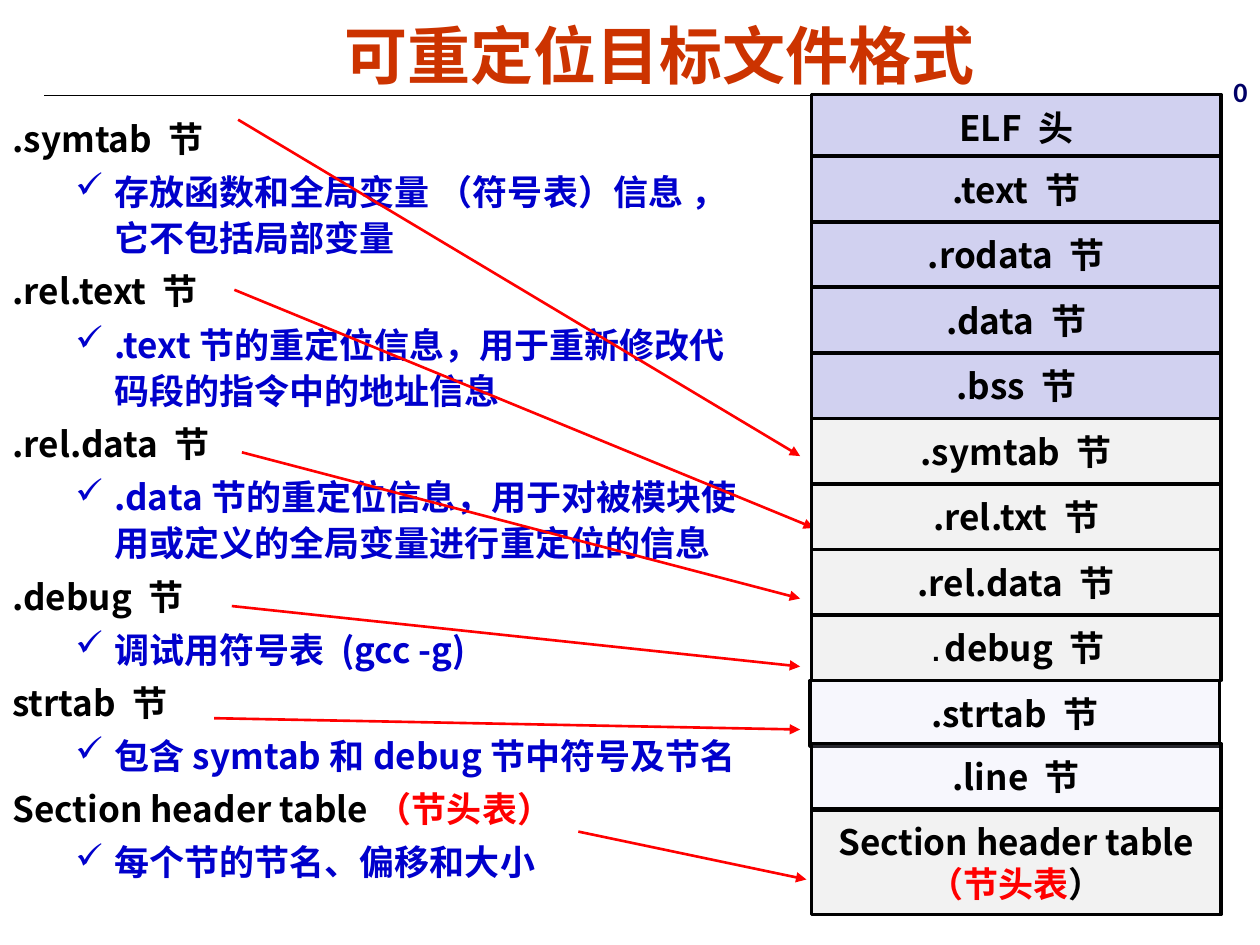
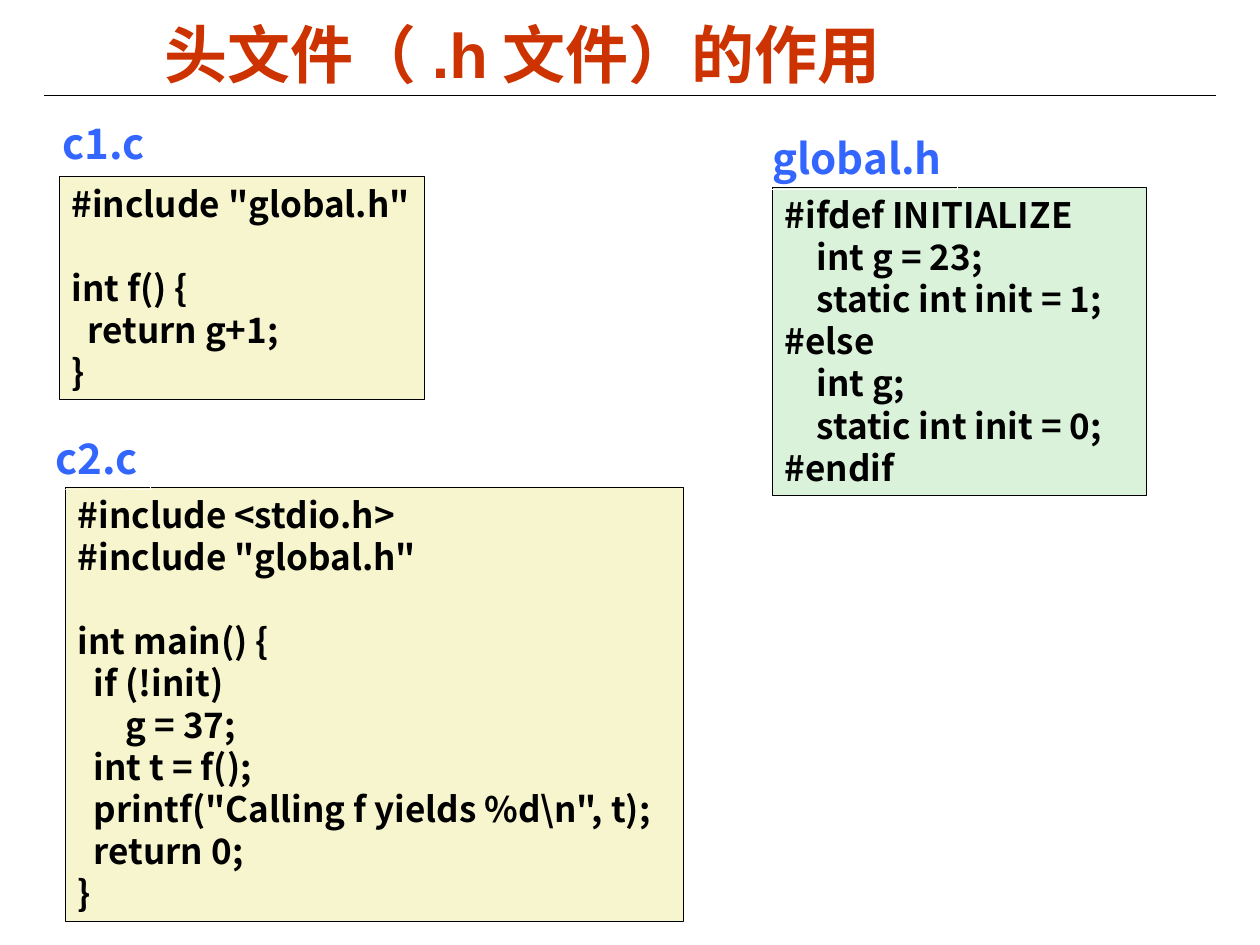
from dataclasses import dataclass

from lxml import etree
from pptx import Presentation
from pptx.dml.color import RGBColor
from pptx.enum.shapes import MSO_CONNECTOR, MSO_SHAPE
from pptx.enum.text import MSO_ANCHOR, PP_ALIGN
from pptx.oxml.ns import qn
from pptx.util import Inches, Length, Pt

STRAIGHT = MSO_CONNECTOR.STRAIGHT
RECTANGLE = MSO_SHAPE.RECTANGLE
TOP, MIDDLE = MSO_ANCHOR.TOP, MSO_ANCHOR.MIDDLE
LEFT, CENTER = PP_ALIGN.LEFT, PP_ALIGN.CENTER

COLOURS = {
    "black": "000000", "white": "FFFFFF", "title": "CC3300",
    "detail": "0000CC", "red": "FF0000", "offset": "000066",
    "label": "3366FF", "loaded": "D1D1F0", "linking": "F2F2F2",
    "strings": "D6D6F5", "source": "F7F5CD", "header": "DBF2DA",
}
BODY_FONT, TITLE_FONT = "Noto Sans CJK SC", "Arial"
BODY_SIZE, LABEL_SIZE = 20, 24
LINE_RATIO = 1.2  # line height as a share of the type size
COLUMNS = 100  # the page is a grid of 100 by 75 square cells
PAGE_WIDTH, PAGE_HEIGHT = Inches(10), Inches(7.5)


@dataclass(frozen=True)
class Area:
    """A rectangle in grid cells."""
    column: float
    row: float
    columns: float
    rows: float

    def lengths(self) -> list[Length]:
        return [grid(cells) for cells in (self.column, self.row, self.columns, self.rows)]


@dataclass(frozen=True)
class Span:
    text: str
    colour: str = "black"
    size: int = BODY_SIZE
    font: str = BODY_FONT


@dataclass(frozen=True)
class Section:
    area: Area
    fill: str
    lines: tuple[tuple[Span, ...], ...]
    opacity: int = 100


@dataclass(frozen=True)
class Topic:
    heading: tuple[Span, ...]
    detail: str


@dataclass(frozen=True)
class Arrow:
    start: tuple[float, float]
    end: tuple[float, float]


@dataclass(frozen=True)
class Listing:
    name: str
    label_area: Area
    code_area: Area
    fill: str
    code: str


# Relocatable file: the sections from top to bottom
ROW = 5.2
STACK_LEFT, STACK_WIDTH = 64.4, 32.5


def section_row(number: int, name: str, fill: str) -> Section:
    spans = (Span(f"{name} 节"),)
    if name == ".debug":
        spans = (Span(".", size=16, font="Courier New"), Span("debug 节"))
    return Section(Area(STACK_LEFT, 12.4 + number * ROW, STACK_WIDTH, ROW), fill, (spans,))


ROW_FILLS = {
    ".text": "loaded", ".rodata": "loaded", ".data": "loaded", ".bss": "loaded",
    ".symtab": "linking", ".rel.txt": "linking", ".rel.data": "linking", ".debug": "linking",
}
SECTIONS = [
    Section(Area(STACK_LEFT, 7.5, STACK_WIDTH, ROW), "loaded", ((Span("ELF 头"),),)),
    *(section_row(number, name, fill) for number, (name, fill) in enumerate(ROW_FILLS.items())),
    Section(Area(STACK_LEFT, 64.3, STACK_WIDTH, 8.3), "linking",
            ((Span("Section header table"),), (Span("（节头表", "red"), Span("）")))),
    Section(Area(64.3, 54, STACK_WIDTH, ROW), "strings", ((Span(".strtab 节"),),), 19),
    Section(Area(STACK_LEFT, 59, STACK_WIDTH, ROW), "strings", ((Span(".line 节"),),), 19),
]
TOPICS = [
    Topic((Span(".symtab 节"),), "存放函数和全局变量 （符号表）信息 ，它不包括局部变量"),
    Topic((Span(".rel.text 节"),), ".text节的重定位信息，用于重新修改代码段的指令中的地址信息"),
    Topic((Span(".rel.data 节"),),
          ".data节的重定位信息，用于对被模块使用或定义的全局变量进行重定位的信息"),
    Topic((Span(".debug 节"),), "调试用符号表 (gcc -g)"),
    Topic((Span("strtab 节"),), "包含symtab和debug节中符号及节名"),
    Topic((Span("Section header table"), Span("（节头表）", "red")), "每个节的节名、偏移和大小"),
]
ARROWS = [
    Arrow((18.9, 9.5), (63.5, 36.2)),
    Arrow((18.6, 23), (64.6, 41.9)),
    Arrow((19.2, 35.9), (63.5, 47.5)),
    Arrow((18.4, 48.1), (63.5, 52.9)),
    Arrow((17, 57), (63.5, 57.9)),
    Arrow((45.9, 66), (64, 69.8)),
]

# Header file: the three sources
LISTINGS = [
    Listing("c1.c", Area(4, 8.8, 8.5, 5), Area(4.7, 14, 29, 17.7), "source", """\
#include "global.h"

int f() {
  return g+1;
}"""),
    Listing("global.h", Area(60.3, 10, 15.7, 5), Area(61.3, 14.9, 29.7, 24.4), "header", """\
#ifdef INITIALIZE
    int g = 23;
    static int init = 1;
#else
    int g;
    static int init = 0;
#endif"""),
    Listing("c2.c", Area(3.4, 33.8, 8.5, 5), Area(5.2, 38.7, 49, 34.4), "source", """\
#include <stdio.h>
#include "global.h"

int main() {
  if (!init)
      g = 37;
  int t = f();
  printf("Calling f yields %d\\n", t);
  return 0;
}"""),
]


def grid(cells: float) -> Length:
    return Length(round(PAGE_WIDTH * cells / COLUMNS))


def rgb(name: str) -> RGBColor:
    return RGBColor.from_string(COLOURS[name])


def style_run(run, span: Span) -> None:
    font = run.font
    font.size, font.bold, font.name = Pt(span.size), True, span.font
    font.color.rgb = rgb(span.colour)
    east_asian = etree.Element(qn("a:ea"), typeface=BODY_FONT)
    run.font._element.find(qn("a:latin")).addnext(east_asian)


def write(para, spans: tuple[Span, ...], align=LEFT, spread: float = 1) -> None:
    para.alignment = align
    para.line_spacing = Pt(round(spans[-1].size * LINE_RATIO * spread, 1))
    for span in spans:
        run = para.add_run()
        run.text = span.text
        style_run(run, span)


def next_para(frame, first: bool):
    return frame.paragraphs[0] if first else frame.add_paragraph()


def set_frame(frame, anchor=TOP, right: float = 0) -> None:
    frame.word_wrap = True
    frame.vertical_anchor = anchor
    frame.margin_left, frame.margin_right = grid(1), grid(right)
    frame.margin_top = frame.margin_bottom = grid(0.5)


def add_line(page, start: tuple[float, float], end: tuple[float, float],
             colour: str, width: float, arrow: bool = False) -> None:
    line = page.shapes.add_connector(STRAIGHT, *(grid(cells) for cells in start + end))
    line.line.color.rgb, line.line.width = rgb(colour), Pt(width)
    if arrow:
        etree.SubElement(line.line._get_or_add_ln(), qn("a:tailEnd"), type="triangle")
    etree.SubElement(line._element.spPr, qn("a:effectLst"))


def add_page(deck, title: str, area: Area):
    page = deck.slides.add_slide(deck.slide_layouts[5])
    box = page.shapes.title
    box.left, box.top, box.width, box.height = area.lengths()
    box.text_frame.text = title
    set_frame(box.text_frame, MIDDLE, right=1)
    para = box.text_frame.paragraphs[0]
    para.alignment = CENTER
    style_run(para.runs[0], Span(title, "title", 36, TITLE_FONT))
    add_line(page, (3.5, 7.6), (96.5, 7.6), "black", 0.75)
    return page


def add_box(page, area: Area, fill: str, line_width: float):
    box = page.shapes.add_shape(RECTANGLE, *area.lengths())
    box.shadow.inherit = False
    box.fill.solid()
    box.fill.fore_color.rgb = rgb(fill)
    box.line.color.rgb, box.line.width = rgb("black"), Pt(line_width)
    return box


def add_text(page, area: Area, span: Span):
    box = page.shapes.add_textbox(*area.lengths())
    set_frame(box.text_frame)
    write(box.text_frame.paragraphs[0], (span,))
    return box


def add_section(page, section: Section) -> None:
    box = add_box(page, section.area, section.fill, 2)
    if section.opacity < 100:
        colour = box._element.spPr.find(qn("a:solidFill")).find(qn("a:srgbClr"))
        etree.SubElement(colour, qn("a:alpha"), val=str(section.opacity * 1000))
    set_frame(box.text_frame, MIDDLE, right=1)
    for number, spans in enumerate(section.lines):
        write(next_para(box.text_frame, number == 0), spans, CENTER)


def add_topics(page, area: Area, topics: list[Topic]) -> None:
    frame = page.shapes.add_textbox(*area.lengths()).text_frame
    set_frame(frame, right=1)
    for number, topic in enumerate(topics):
        heading = next_para(frame, number == 0)
        detail = frame.add_paragraph()
        properties = detail._p.get_or_add_pPr()
        properties.set("marL", str(grid(8.1)))
        properties.set("indent", str(-grid(3.1)))
        write(heading, topic.heading, spread=1.1)
        write(detail, (Span(topic.detail, "detail"),), spread=1.1)
        if number:
            heading.space_before = Pt(4)
        detail.space_before = Pt(4)
        etree.SubElement(properties, qn("a:buChar"), char="✓")


def add_listing(page, listing: Listing) -> None:
    frame = add_box(page, listing.code_area, listing.fill, 0.25).text_frame
    set_frame(frame)
    after_gap = False
    for number, line in enumerate(listing.code.split("\n")):
        if line:
            para = next_para(frame, number == 0)
            write(para, (Span(line),))
            if after_gap:
                para.space_before = Pt(BODY_SIZE * LINE_RATIO)
        after_gap = not line
    label = add_text(page, listing.label_area, Span(listing.name, "label", LABEL_SIZE))
    label.line.color.rgb, label.line.width = rgb("white"), Pt(0.25)


def main() -> None:
    deck = Presentation()
    deck.slide_width, deck.slide_height = PAGE_WIDTH, PAGE_HEIGHT

    # Relocatable object file format
    page = add_page(deck, "可重定位目标文件格式", Area(4.7, 0, 95.3, 8.6))
    add_topics(page, Area(0, 8.5, 60.5, 63.3), TOPICS)
    for arrow in ARROWS:
        add_line(page, arrow.start, arrow.end, "red", 1.5, arrow=True)
    for section in SECTIONS:
        add_section(page, section)
    add_text(page, Area(96.9, 5.4, 3.1, 3.6), Span("0", "offset", 16, "Calibri"))

    # What header files are for
    page = add_page(deck, "头文件（.h文件）的作用", Area(0, 0.3, 83, 7.9))
    for listing in LISTINGS:
        add_listing(page, listing)

    deck.save("out.pptx")


if __name__ == "__main__":
    main()
